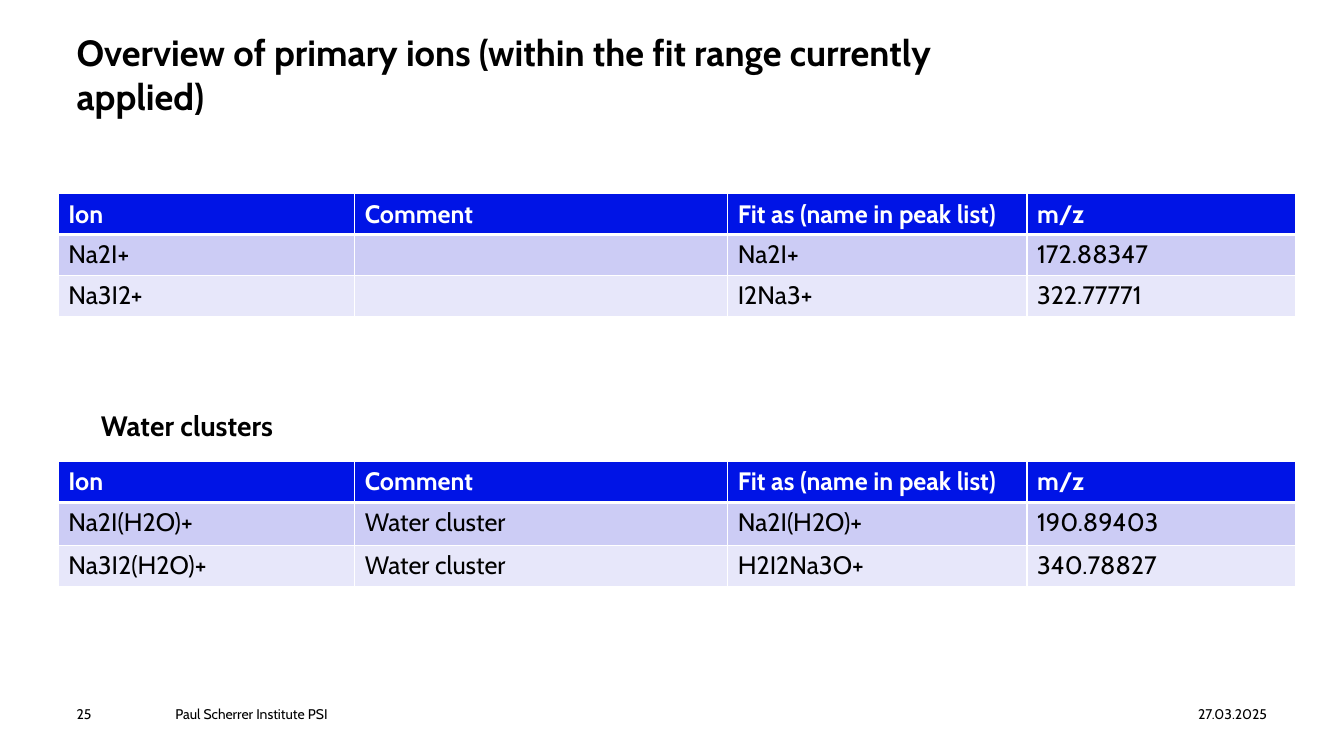
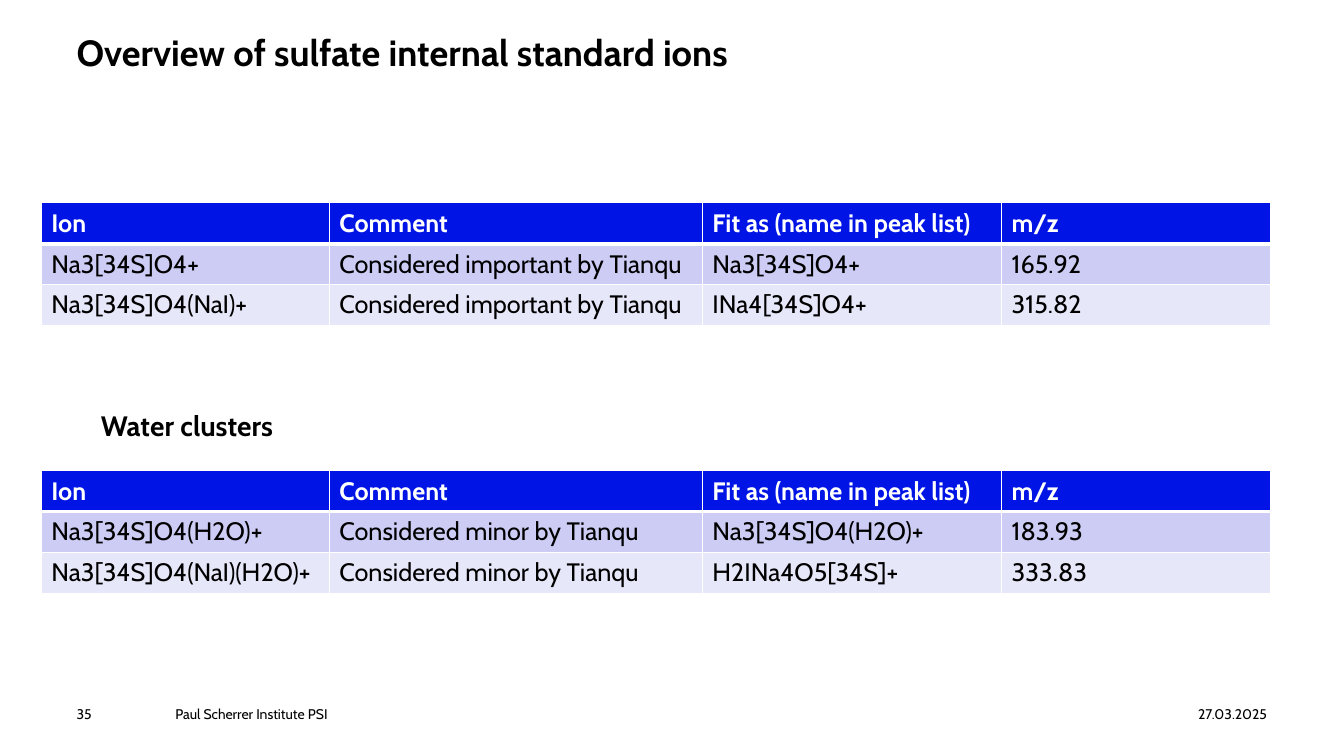
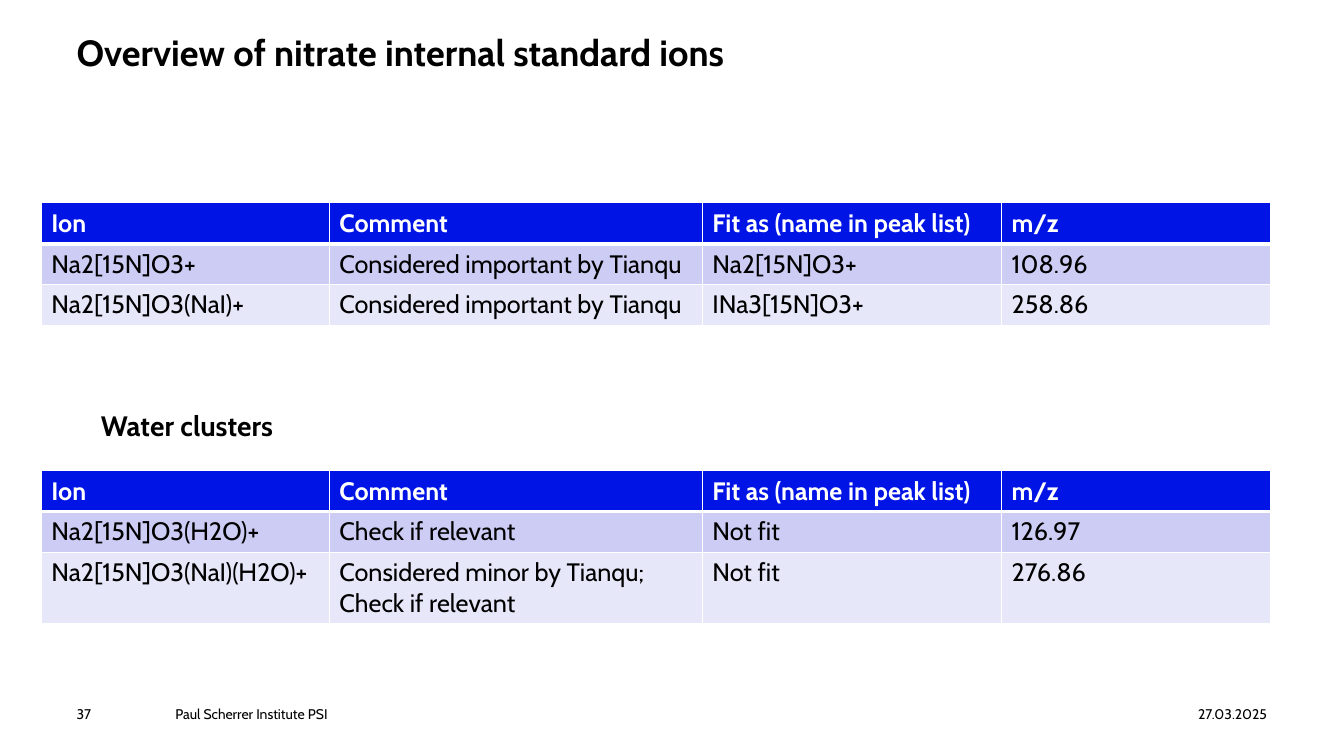
from pptx import Presentation
from pptx.dml.color import RGBColor
from pptx.enum.text import MSO_ANCHOR as Anchor, MSO_AUTO_SIZE as AutoSize, PP_ALIGN as Align
from pptx.oxml import parse_xml
from pptx.oxml.ns import nsdecls
from pptx.util import Cm, Pt

FONT = "Cabin"
BLACK, WHITE, BLUE = "000000", "FFFFFF", "0014E6"
BANDS = ("CCCCF5", "E7E7FA")

HEADER = ("Ion", "Comment", "Fit as (name in peak list)", "m/z")
SUBTITLE = "Water clusters"
INSTITUTE = "Paul Scherrer Institute PSI"
DATE = "27.03.2025"

ROW = 1.03
EVEN_ROWS = (ROW, ROW, ROW)
PRIMARY_GRID = {"left": 1.47, "tops": (4.88, 11.63), "columns": (7.47, 9.4, 7.54, 6.78)}
STANDARD_GRID = {"left": 1.04, "tops": (5.11, 11.86), "columns": (7.26, 9.4, 7.54, 6.78)}

SLIDES = [
    {
        "number": "25",
        "title": "Overview of primary ions (within the fit range currently applied)",
        "grid": PRIMARY_GRID,
        "row_heights": (EVEN_ROWS, (ROW, 1.08, ROW)),
        "ions": [
            ("Na2I+", "", "Na2I+", "172.88347"),
            ("Na3I2+", "", "I2Na3+", "322.77771"),
        ],
        "clusters": [
            ("Na2I(H2O)+", "Water cluster", "Na2I(H2O)+", "190.89403"),
            ("Na3I2(H2O)+", "Water cluster", "H2I2Na3O+", "340.78827"),
        ],
    },
    {
        "number": "35",
        "title": "Overview of sulfate internal standard ions",
        "grid": STANDARD_GRID,
        "row_heights": (EVEN_ROWS, EVEN_ROWS),
        "ions": [
            ("Na3[34S]O4+", "Considered important by Tianqu", "Na3[34S]O4+", "165.92"),
            ("Na3[34S]O4(NaI)+", "Considered important by Tianqu", "INa4[34S]O4+", "315.82"),
        ],
        "clusters": [
            ("Na3[34S]O4(H2O)+", "Considered minor by Tianqu", "Na3[34S]O4(H2O)+", "183.93"),
            ("Na3[34S]O4(NaI)(H2O)+", "Considered minor by Tianqu", "H2INa4O5[34S]+", "333.83"),
        ],
    },
    {
        "number": "37",
        "title": "Overview of nitrate internal standard ions",
        "grid": STANDARD_GRID,
        "row_heights": (EVEN_ROWS, (ROW, ROW, 1.77)),
        "ions": [
            ("Na2[15N]O3+", "Considered important by Tianqu", "Na2[15N]O3+", "108.96"),
            ("Na2[15N]O3(NaI)+", "Considered important by Tianqu", "INa3[15N]O3+", "258.86"),
        ],
        "clusters": [
            ("Na2[15N]O3(H2O)+", "Check if relevant", "Not fit", "126.97"),
            ("Na2[15N]O3(NaI)(H2O)+", "Considered minor by Tianqu; Check if relevant",
             "Not fit", "276.86"),
        ],
    },
]


def rgb(color):
    return RGBColor.from_string(color)


def write(frame, text, size, color=BLACK, bold=False, align=Align.LEFT):
    frame.text = text
    paragraph = frame.paragraphs[0]
    paragraph.alignment = align
    for run in paragraph.runs:
        run.font.name = FONT
        run.font.size = Pt(size)
        run.font.bold = bold
        run.font.color.rgb = rgb(color)


def clear_margins(frame):
    frame.margin_left = frame.margin_top = frame.margin_right = frame.margin_bottom = 0
    frame.vertical_anchor = Anchor.TOP


def add_title(slide, text):
    title = slide.shapes.title
    title.left, title.top, title.width, title.height = Cm(1.93), Cm(0.76), Cm(24.89), Cm(2.26)
    frame = title.text_frame
    clear_margins(frame)
    frame.auto_size = AutoSize.NONE
    write(frame, text, 26, bold=True)


def add_label(slide, text, left, top, width, height, size, wrap=True, **style):
    frame = slide.shapes.add_textbox(Cm(left), Cm(top), Cm(width), Cm(height)).text_frame
    clear_margins(frame)
    frame.word_wrap = wrap
    frame.auto_size = AutoSize.NONE if wrap else AutoSize.SHAPE_TO_FIT_TEXT
    write(frame, text, size, **style)


def add_footer(slide, number):
    add_label(slide, DATE, 27.43, 17.78, 4.5, 0.41, 10, align=Align.RIGHT)
    add_label(slide, INSTITUTE, 4.42, 17.78, 22.35, 0.41, 10)
    add_label(slide, number, 1.93, 17.78, 1.96, 0.41, 10)


def add_borders(cell, row):
    widths = {"L": 1, "R": 1, "T": 3 if row == 1 else 1, "B": 3 if row == 0 else 1}
    properties = cell._tc.get_or_add_tcPr()
    for side, width in widths.items():
        properties.append(parse_xml(
            f'<a:ln{side} {nsdecls("a")} w="{Pt(width)}"><a:solidFill>'
            f'<a:srgbClr val="{WHITE}"/></a:solidFill></a:ln{side}>'))


def add_ion_table(slide, grid, top, heights, ions):
    rows = [HEADER, *ions]
    columns = grid["columns"]
    table = slide.shapes.add_table(len(rows), len(columns), Cm(grid["left"]), Cm(top),
                                   Cm(sum(columns)), Cm(sum(heights))).table
    for column, width in zip(table.columns, columns):
        column.width = Cm(width)
    for r, (values, height) in enumerate(zip(rows, heights)):
        table.rows[r].height = Cm(height)
        is_header = r == 0
        for c, value in enumerate(values):
            cell = table.cell(r, c)
            add_borders(cell, r)
            cell.fill.solid()
            cell.fill.fore_color.rgb = rgb(BLUE if is_header else BANDS[(r - 1) % 2])
            write(cell.text_frame, value, 18, WHITE if is_header else BLACK, is_header)


def main():
    deck = Presentation()
    deck.slide_width, deck.slide_height = Cm(33.87), Cm(19.05)
    title_only = deck.slide_layouts[5]
    for content in SLIDES:
        slide = deck.slides.add_slide(title_only)
        add_footer(slide, content["number"])
        add_title(slide, content["title"])
        grid = content["grid"]
        tables = (content["ions"], content["clusters"])
        for top, heights, ions in zip(grid["tops"], content["row_heights"], tables):
            add_ion_table(slide, grid, top, heights, ions)
        add_label(slide, SUBTITLE, 2.54, 10.29, 4.72, 0.86, 20, wrap=False, bold=True)
    deck.save("out.pptx")


if __name__ == "__main__":
    main()
